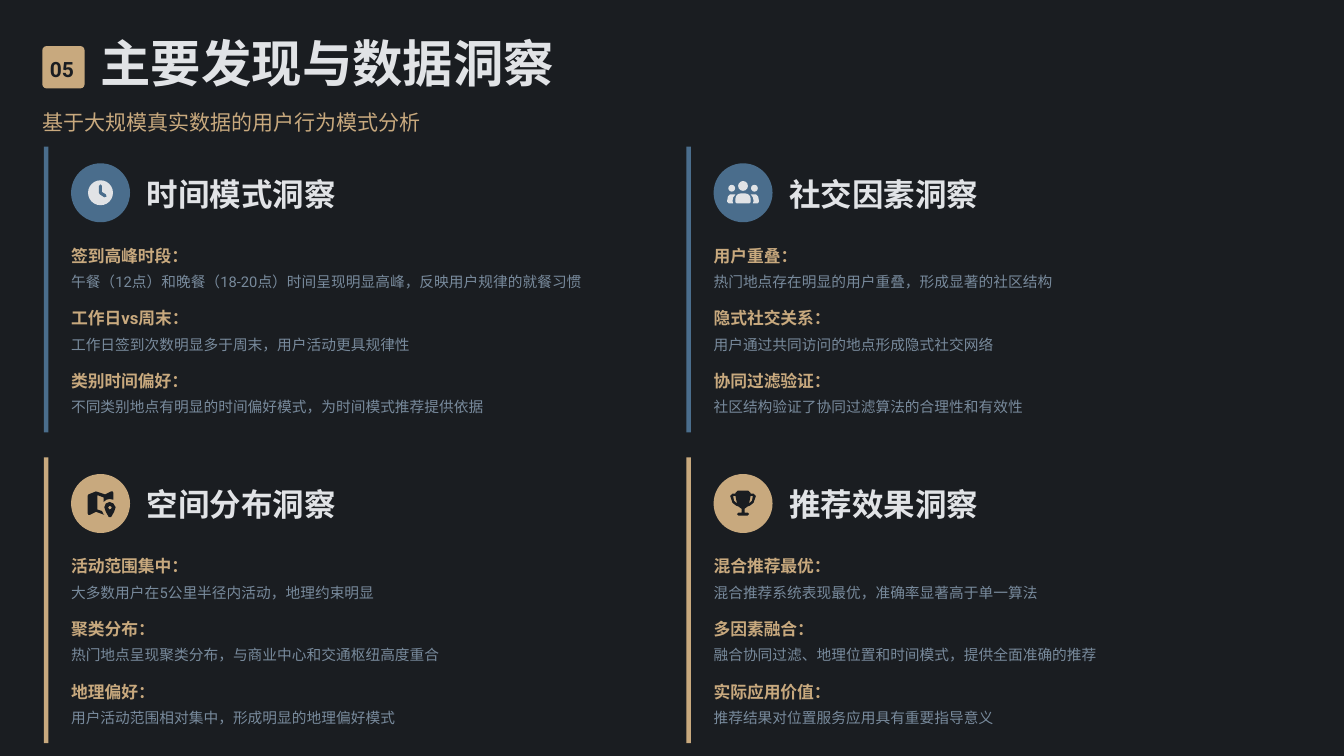
from pptx import Presentation
from pptx.dml.color import RGBColor
from pptx.enum.shapes import MSO_SHAPE
from pptx.enum.text import MSO_ANCHOR, PP_ALIGN
from pptx.util import Inches, Pt

DARK = RGBColor(0x1A, 0x1D, 0x21)
GOLD = RGBColor(0xC8, 0xA9, 0x7E)
BLUE = RGBColor(0x4A, 0x6D, 0x8C)
LIGHT = RGBColor(0xE1, 0xE3, 0xE6)
GRAY = RGBColor(0x78, 0x8A, 0x9C)

# Icon outlines, in hundredths of an inch from the disc centre
HANDS = [(-2, -9), (0, -11), (2, -9), (2, -1), (7, 2), (8, 5), (5, 6), (-1, 2), (-2, 0)]
SIDE = [(-21, 10), (-20, 5), (-17, 2), (-13, 2), (-10, 2), (-13, 6), (-14, 11),
        (-13, 14), (-19, 14), (-21, 12)]
MAP = [(17, -14), (16, -16), (14, -16), (6, -12), (-6, -16), (-16, -12), (-17, -10),
       (-17, 13), (-16, 15), (-14, 15), (-6, 11), (5, 15), (4, 14), (2, 10), (-4, 8),
       (-4, -11), (4, -8), (4, -2), (8, -5), (12, -6), (17, -5)]
PIN = [(12, -2), (17, 0), (20, 5), (18, 11), (14, 18), (11, 18), (7, 11), (5, 5), (7, 0)]
EYE = [(12, 3), (14, 4), (15, 5), (14, 7), (12, 8), (11, 7), (10, 5), (11, 4)]
CUP = [(7, -17), (10, -14), (10, -13), (14, -13), (17, -10), (14, -1), (9, 3), (6, 4),
       (2, 7), (2, 12), (6, 12), (8, 14), (6, 16)]
GRIP = [(10, -10), (13, -10), (12, -4), (8, 0)]

CARDS = [
    ("时间模式洞察", [
        ("签到高峰时段：", "午餐（12点）和晚餐（18-20点）时间呈现明显高峰，反映用户规律的就餐习惯"),
        ("工作日vs周末：", "工作日签到次数明显多于周末，用户活动更具规律性"),
        ("类别时间偏好：", "不同类别地点有明显的时间偏好模式，为时间模式推荐提供依据")]),
    ("空间分布洞察", [
        ("活动范围集中：", "大多数用户在5公里半径内活动，地理约束明显"),
        ("聚类分布：", "热门地点呈现聚类分布，与商业中心和交通枢纽高度重合"),
        ("地理偏好：", "用户活动范围相对集中，形成明显的地理偏好模式")]),
    ("社交因素洞察", [
        ("用户重叠：", "热门地点存在明显的用户重叠，形成显著的社区结构"),
        ("隐式社交关系：", "用户通过共同访问的地点形成隐式社交网络"),
        ("协同过滤验证：", "社区结构验证了协同过滤算法的合理性和有效性")]),
    ("推荐效果洞察", [
        ("混合推荐最优：", "混合推荐系统表现最优，准确率显著高于单一算法"),
        ("多因素融合：", "融合协同过滤、地理位置和时间模式，提供全面准确的推荐"),
        ("实际应用价值：", "推荐结果对位置服务应用具有重要指导意义")]),
]


def paint(shape, color):
    shape.shadow.inherit = False
    shape.fill.solid()
    shape.fill.fore_color.rgb = color
    shape.line.fill.background()
    return shape


def add_box(slide, kind, x, y, w, h, color):
    box = slide.shapes.add_shape(kind, Inches(x), Inches(y), Inches(w), Inches(h))
    return paint(box, color)


def add_disc(slide, cx, cy, size, color):
    add_box(slide, MSO_SHAPE.OVAL, cx - size / 2, cy - size / 2, size, size, color)


def add_form(slide, cx, cy, color, *loops):
    pen = slide.shapes.build_freeform(*loops[0][0], scale=Inches(0.01))
    pen.add_line_segments(loops[0][1:])
    for loop in loops[1:]:
        pen.move_to(*loop[0])
        pen.add_line_segments(loop[1:])
    paint(pen.convert_to_shape(Inches(cx), Inches(cy)), color)


def add_text(slide, text, x, y, w, h, size, color, bold=False, space=1.2):
    box = slide.shapes.add_textbox(Inches(x), Inches(y), Inches(w), Inches(h))
    frame = box.text_frame
    frame.word_wrap = True
    frame.vertical_anchor = MSO_ANCHOR.MIDDLE
    frame.margin_left = frame.margin_right = frame.margin_top = frame.margin_bottom = 0
    para = frame.paragraphs[0]
    para.alignment = PP_ALIGN.LEFT
    para.line_spacing = space
    run = para.add_run()
    run.text = text
    run.font.name = "Roboto"
    run.font.size = Pt(size)
    run.font.bold = bold
    run.font.color.rgb = color


def flip(points):
    return [(-x, y) for x, y in points]


def draw_clock(slide, cx, cy):
    add_disc(slide, cx, cy, 0.33, LIGHT)
    add_form(slide, cx, cy, BLUE, HANDS)


def draw_map(slide, cx, cy):
    add_form(slide, cx, cy, DARK, MAP)
    add_form(slide, cx, cy, DARK, PIN, EYE)


def draw_group(slide, cx, cy):
    for dx, dy, size in ((0, -0.09, 0.13), (-0.15, -0.06, 0.09), (0.15, -0.06, 0.09)):
        add_disc(slide, cx + dx, cy + dy, size, LIGHT)
    for side in (SIDE, flip(SIDE)):
        add_form(slide, cx, cy, LIGHT, side)
    body = add_box(slide, MSO_SHAPE.ROUND_2_SAME_RECTANGLE,
                   cx - 0.1, cy + 0.01, 0.2, 0.13, LIGHT)
    body.adjustments[0] = 0.5
    body.adjustments[1] = 0.15


def draw_cup(slide, cx, cy):
    add_form(slide, cx, cy, DARK, CUP + flip(CUP)[::-1], GRIP, flip(GRIP))


def add_card(slide, x, y, color, draw, title, items):
    add_box(slide, MSO_SHAPE.RECTANGLE, x, y, 0.06, 3.78, color)
    cx, cy = x + 0.75, y + 0.61
    add_disc(slide, cx, cy, 0.78, color)
    draw(slide, cx, cy)
    add_text(slide, title, x + 1.36, y + 0.37, 2.71, 0.5, 30, LIGHT, bold=True, space=1.0)
    for i, (label, note) in enumerate(items):
        top = y + 1.25 + 0.83 * i
        wide = 0.22 * len(label) + 0.12
        add_text(slide, label, x + 0.36, top, wide, 0.3, 16, GOLD, bold=True, space=1.3)
        add_text(slide, note, x + 0.36, top + 0.37, 7.88, 0.28, 14, GRAY)


def main():
    deck = Presentation()
    deck.slide_width, deck.slide_height = Inches(17.78), Inches(10)
    slide = deck.slides.add_slide(deck.slide_layouts[6])
    slide.background.fill.solid()
    slide.background.fill.fore_color.rgb = DARK

    # Header
    badge = add_box(slide, MSO_SHAPE.ROUNDED_RECTANGLE, 0.56, 0.61, 0.56, 0.56, GOLD)
    badge.adjustments[0] = 0.1
    add_text(slide, "05", 0.66, 0.69, 0.47, 0.39, 20, DARK, bold=True)
    add_text(slide, "主要发现与数据洞察", 1.33, 0.56, 6.33, 0.67, 48, LIGHT,
             bold=True, space=0.8)
    add_text(slide, "基于大规模真实数据的用户行为模式分析", 0.56, 1.39, 16.81, 0.39, 20, GOLD)

    # Cards, column by column
    icons = (draw_clock, draw_map, draw_group, draw_cup)
    for i, (draw, (title, items)) in enumerate(zip(icons, CARDS)):
        col, row = divmod(i, 2)
        add_card(slide, 0.58 + 8.5 * col, 1.94 + 4.11 * row, (BLUE, GOLD)[row],
                 draw, title, items)

    deck.save("out.pptx")


if __name__ == "__main__":
    main()
